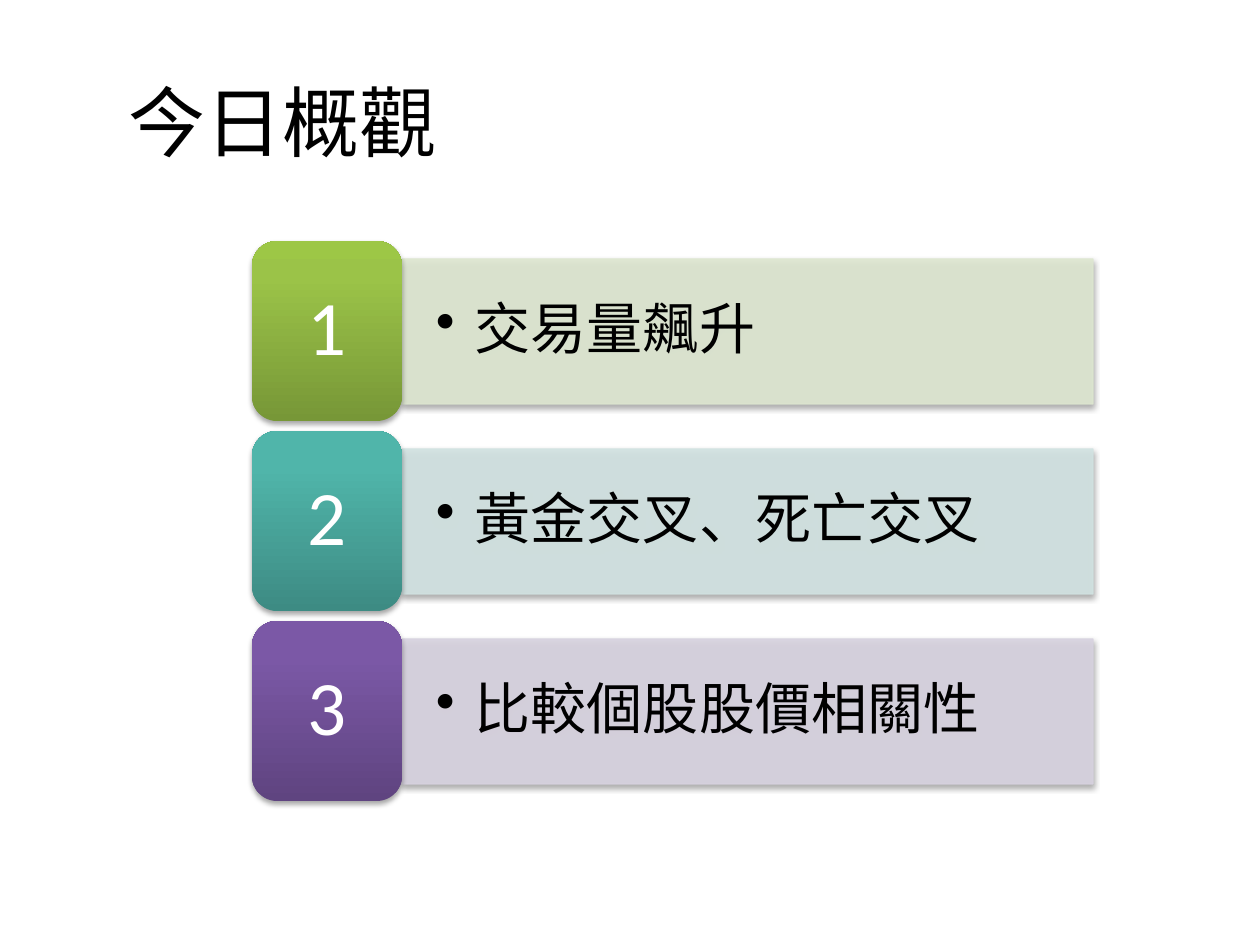
from lxml import etree
from pptx import Presentation
from pptx.dml.color import RGBColor
from pptx.enum.shapes import MSO_SHAPE
from pptx.enum.text import MSO_ANCHOR, PP_ALIGN
from pptx.oxml import parse_xml
from pptx.oxml.ns import nsdecls, qn
from pptx.util import Pt

LEFT, CENTER = PP_ALIGN.LEFT, PP_ALIGN.CENTER
MIDDLE = MSO_ANCHOR.MIDDLE
RECTANGLE, ROUNDED = MSO_SHAPE.RECTANGLE, MSO_SHAPE.ROUNDED_RECTANGLE
PIXEL = 914400 // 126
NAMESPACE = nsdecls("a")
COLORS = {
    "text": "000000",
    "number": "FFFFFF",
    "bars": ["DEE7D1", "D2E3E2", "D8D3E0"],
    "tiles": [
        ["779737", "9BC348", "9DC746"],
        ["3D8B83", "50B5AA", "4EB8AC"],
        ["5F4480", "7B58A6", "7C57A8"],
    ],
}
TOPICS = ["交易量飆升", "黃金交叉、死亡交叉", "比較個股股價相關性"]
FIRST_TOP, PITCH = 241, 190
TILE_LEFT, TILE_WIDTH, TILE_HEIGHT = 252, 150, 180
BAR_WIDTH, BAR_HEIGHT = 691, 145


def write_text(shape, text, size, color, alignment, margins=(13, 6)):
    frame = shape.text_frame
    horizontal, vertical = [margin * PIXEL for margin in margins]
    frame_format = {
        "word_wrap": True,
        "vertical_anchor": MIDDLE,
        "margin_left": horizontal,
        "margin_right": horizontal,
        "margin_top": vertical,
        "margin_bottom": vertical,
    }
    for name, value in frame_format.items():
        setattr(frame, name, value)
    paragraph = frame.paragraphs[0]
    paragraph.alignment = alignment
    run = paragraph.add_run()
    run.text = text
    for name, value in {"name": "Calibri", "size": Pt(size)}.items():
        setattr(run.font, name, value)
    run.font.color.rgb = RGBColor.from_string(color)
    return paragraph


def add_shadowed(slide, kind, left, top, width, height):
    box = [length * PIXEL for length in (left, top, width, height)]
    shape = slide.shapes.add_shape(kind, *box)
    shape.shadow.inherit = False
    effects = shape._element.spPr.find(qn("a:effectLst"))
    effects.append(parse_xml(
        f'<a:outerShdw {NAMESPACE} blurRad="40000" dist="23000" dir="5400000" '
        'rotWithShape="0"><a:srgbClr val="000000"><a:alpha val="35000"/>'
        '</a:srgbClr></a:outerShdw>'))
    return shape


presentation = Presentation()
presentation.slide_width = 1260 * PIXEL
presentation.slide_height = 945 * PIXEL
slide = presentation.slides.add_slide(presentation.slide_layouts[5])

title = slide.shapes.title
title_box = {"left": 116, "top": 42, "width": 1113, "height": 157}
for name, value in title_box.items():
    setattr(title, name, value * PIXEL)
write_text(title, "今日概觀", 44, COLORS["text"], LEFT)

for index, topic in enumerate(TOPICS):
    top = FIRST_TOP + index * PITCH

    bar = add_shadowed(slide, RECTANGLE, TILE_LEFT + TILE_WIDTH,
                       top + (TILE_HEIGHT - BAR_HEIGHT) // 2 + 1,
                       BAR_WIDTH, BAR_HEIGHT)
    bar.line.width = Pt(0.75)
    bar.fill.solid()
    bar.line.fill.solid()
    for paint in (bar.fill, bar.line.fill):
        paint.fore_color.rgb = RGBColor.from_string(COLORS["bars"][index])
    for color in bar._element.spPr.findall(".//" + qn("a:solidFill") + "/" + qn("a:srgbClr")):
        etree.SubElement(color, qn("a:alpha"), val="90000")

    paragraph = write_text(bar, topic, 32, COLORS["text"], LEFT, (34, 17))
    paragraph.line_spacing = 0.9
    properties = paragraph._p.get_or_add_pPr()
    properties.set("marL", str(39 * PIXEL))
    properties.set("indent", str(-39 * PIXEL))
    etree.SubElement(properties, qn("a:buChar"), char="•")

    tile = add_shadowed(slide, ROUNDED, TILE_LEFT, top, TILE_WIDTH, TILE_HEIGHT)
    tile.line.fill.background()
    stops = "".join(
        f'<a:gs pos="{position}"><a:srgbClr val="{color}"/></a:gs>'
        for position, color in zip((0, 80000, 100000), COLORS["tiles"][index]))
    tile._element.spPr.find(qn("a:prstGeom")).addnext(parse_xml(
        f'<a:gradFill {NAMESPACE} rotWithShape="1"><a:gsLst>{stops}</a:gsLst>'
        '<a:lin ang="16200000" scaled="0"/></a:gradFill>'))
    number = write_text(tile, str(index + 1), 44, COLORS["number"], CENTER, (23, 11))
    number.line_spacing = 0.9

presentation.save("out.pptx")
